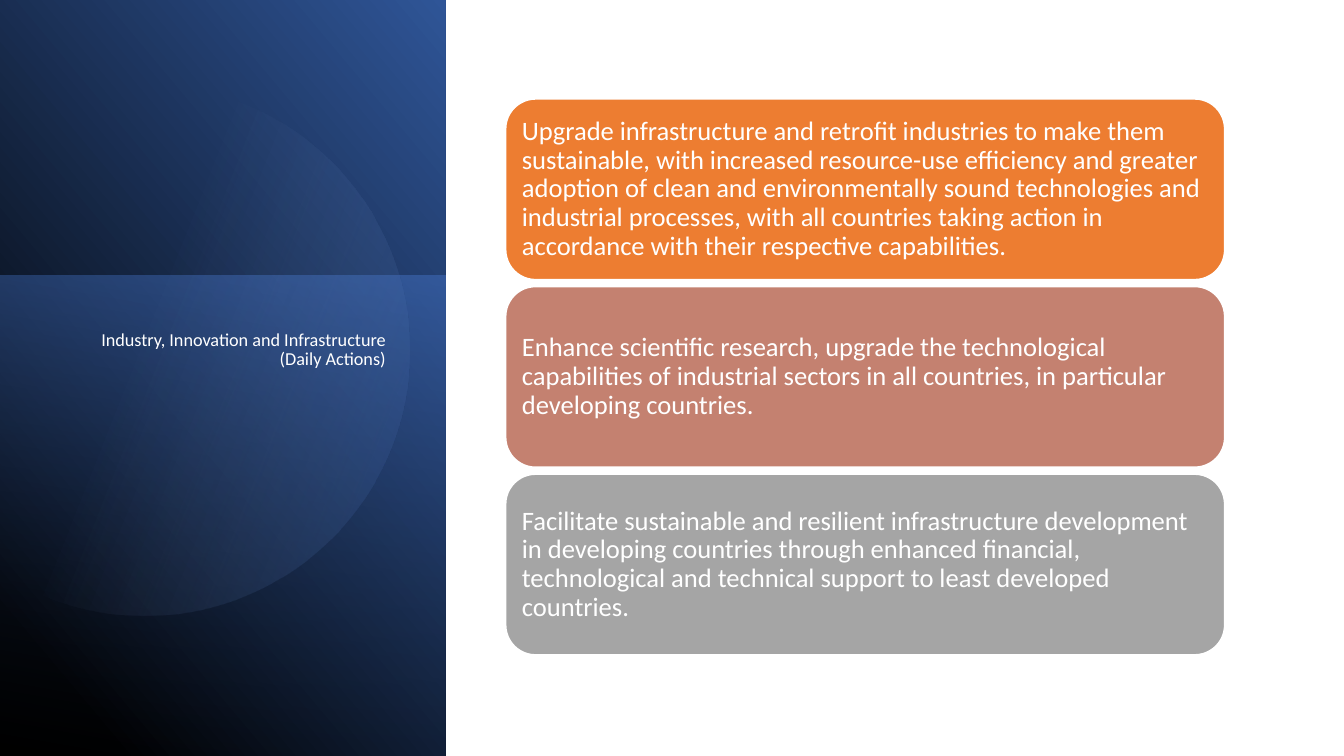
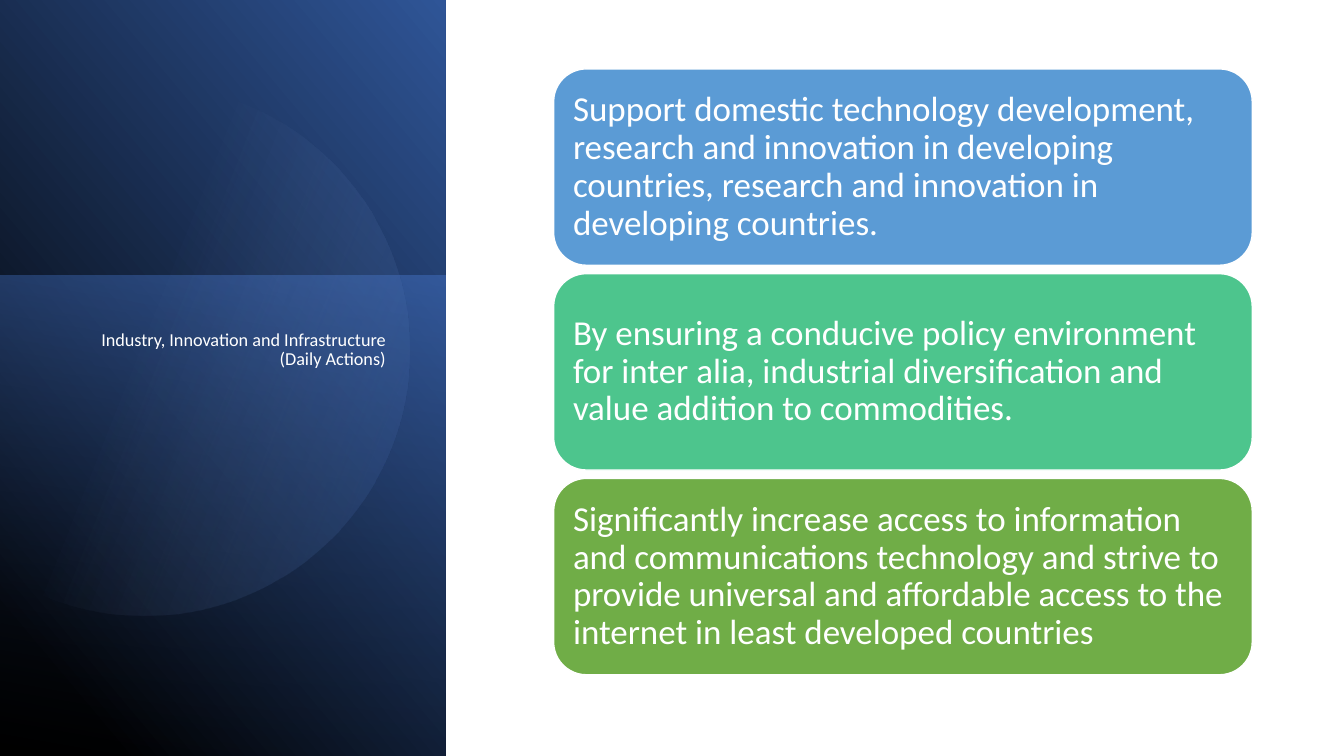
"""Build two slides of daily actions for industry and infrastructure."""
from dataclasses import dataclass
from math import acos, cos, degrees, radians, sin

from lxml import etree
from pptx import Presentation
from pptx.dml.color import RGBColor
from pptx.enum.shapes import MSO_SHAPE
from pptx.enum.text import MSO_ANCHOR, PP_ALIGN
from pptx.oxml.ns import qn
from pptx.shapes.autoshape import Shape
from pptx.slide import Slide
from pptx.text.text import TextFrame
from pptx.util import Pt

RECT = MSO_SHAPE.RECTANGLE
ROUND = MSO_SHAPE.ROUNDED_RECTANGLE
TOP, MIDDLE = MSO_ANCHOR.TOP, MSO_ANCHOR.MIDDLE
LEFT, RIGHT = PP_ALIGN.LEFT, PP_ALIGN.RIGHT

WHITE = RGBColor(0xFF, 0xFF, 0xFF)
BLACK = RGBColor(0x00, 0x00, 0x00)
NAVY = RGBColor(0x20, 0x38, 0x64)
BLUE = RGBColor(0x2F, 0x55, 0x97)
ROYAL = RGBColor(0x44, 0x72, 0xC4)
PALE = RGBColor(0x8F, 0xAA, 0xDC)
ORANGE = RGBColor(0xED, 0x7D, 0x31)
ROSE = RGBColor(0xC4, 0x81, 0x70)
GRAY = RGBColor(0xA5, 0xA5, 0xA5)
SKY = RGBColor(0x5B, 0x9B, 0xD5)
MINT = RGBColor(0x4D, 0xC5, 0x8D)
GREEN = RGBColor(0x70, 0xAD, 0x47)

FONT = "Calibri"
WIDE, HIGH = 960, 540
SIDE = 318.25
TITLE = "Industry, Innovation and Infrastructure\v(Daily Actions)"


@dataclass(frozen=True)
class Stop:
    """One colour stop, with place and opacity in percent."""
    place: int
    tint: RGBColor
    alpha: int = 100


@dataclass(frozen=True)
class Panel:
    """A turned side panel with its gradient."""
    top: float
    high: float
    turn: int
    flip: bool
    angle: float
    stops: tuple[Stop, Stop]


@dataclass(frozen=True)
class Disc:
    """A circle cut by the left slide edge."""
    x: float
    y: float
    size: float
    angle: float
    stops: tuple[Stop, Stop]


@dataclass(frozen=True)
class Card:
    """One action with its fill."""
    tint: RGBColor
    text: str


@dataclass(frozen=True)
class Stack:
    """A column of equal cards."""
    left: float
    top: float
    width: float
    high: float
    step: float
    edge: float
    inset: float
    size: float
    cards: tuple[Card, ...]


PANELS = (
    Panel(0, HIGH, 90, True, 310, (Stop(11, BLACK), Stop(100, BLUE))),
    Panel(197, 343, 270, False, 190, (Stop(0, ROYAL, 50), Stop(100, NAVY, 0))),
)
DISC = Disc(103, 250, 189.5, 21.6, (Stop(39, PALE, 0), Stop(100, BLUE, 26)))

STACKS = (
    Stack(361, 70.5, 514, 129.5, 134, 1.5, 5.5, 19, (
        Card(ORANGE, "Upgrade infrastructure and retrofit industries to make them "
             "sustainable, with increased resource-use efficiency and greater "
             "adoption of clean and environmentally sound technologies and "
             "industrial processes, with all countries taking action in "
             "accordance with their respective capabilities."),
        Card(ROSE, "Enhance scientific research, upgrade the technological "
             "capabilities of industrial sectors in all countries, in particular "
             "developing countries."),
        Card(GRAY, "Facilitate sustainable and resilient infrastructure development "
             "in developing countries through enhanced financial, technological "
             "and technical support to least developed countries."),
    )),
    Stack(395.5, 49.25, 499, 140.25, 146.25, 1, 7, 25, (
        Card(SKY, "Support domestic technology development, research and innovation "
             "in developing countries, research and innovation in developing "
             "countries."),
        Card(MINT, "By ensuring a conducive policy environment for inter alia, "
             "industrial diversification and value addition to commodities."),
        Card(GREEN, "Significantly increase access to information and communications "
             "technology and strive to provide universal and affordable access to "
             "the internet in least developed countries"),
    )),
)


def blend(shape: Shape, angle: float, stops: tuple[Stop, Stop]) -> None:
    """Fill a shape with a gradient, its angle clockwise."""
    shape.shadow.inherit = False
    shape.line.fill.background()
    shape.fill.gradient()
    shape.fill.gradient_angle = 360 - angle
    for mark, stop in zip(shape.fill.gradient_stops, stops):
        mark.position = stop.place / 100
        mark.color.rgb = stop.tint
    for node, stop in zip(shape._element.spPr.iter(qn("a:srgbClr")), stops):
        if stop.alpha < 100:
            etree.SubElement(node, qn("a:alpha"), val=str(stop.alpha * 1000))


def write(frame: TextFrame, text: str, size: float, align: PP_ALIGN,
          look: dict[str, object]) -> None:
    """Put white text in a frame with the given look."""
    frame.text = text
    line = frame.paragraphs[0]
    style = {"name": FONT, "size": Pt(size)}
    for item, values in (
        (frame, {"word_wrap": True, **look}),
        (line, {"alignment": align, "line_spacing": 0.9}),
        *((run.font, style) for run in line.runs),
    ):
        for name, value in values.items():
            setattr(item, name, value)
    for run in line.runs:
        run.font.color.rgb = WHITE


def add_panel(slide: Slide, panel: Panel) -> None:
    """Draw a panel turned about its centre."""
    shift = (SIDE - panel.high) / 2
    shape = slide.shapes.add_shape(
        RECT, Pt(shift), Pt(panel.top - shift), Pt(panel.high), Pt(SIDE))
    shape.rotation = panel.turn
    if panel.flip:
        shape._element.spPr.find(qn("a:xfrm")).set("flipH", "1")
    blend(shape, panel.angle, panel.stops)


def add_disc(slide: Slide, disc: Disc) -> None:
    """Draw the part of the circle that lies on the slide."""
    end = degrees(acos(-disc.x / disc.size))
    count = 120
    turns = [radians(end * (2 * i / count - 1)) for i in range(count + 1)]
    spots = [(Pt(disc.x + disc.size * cos(t)), Pt(disc.y + disc.size * sin(t)))
             for t in turns]
    path = slide.shapes.build_freeform(*spots[0])
    path.add_line_segments(spots[1:], close=True)
    blend(path.convert_to_shape(), disc.angle, disc.stops)


def add_title(slide: Slide) -> None:
    """Write the title on the side panel."""
    box = slide.shapes.add_textbox(Pt(42), Pt(232.5), Pt(240.5), Pt(278))
    write(box.text_frame, TITLE, 13, RIGHT, {"vertical_anchor": TOP})


def add_stack(slide: Slide, stack: Stack) -> None:
    """Draw the cards one below the other."""
    look = {f"margin_{side}": Pt(stack.inset)
            for side in ("left", "right", "top", "bottom")}
    look["vertical_anchor"] = MIDDLE
    for i, card in enumerate(stack.cards):
        shape = slide.shapes.add_shape(
            ROUND, Pt(stack.left), Pt(stack.top + i * stack.step),
            Pt(stack.width), Pt(stack.high))
        shape.shadow.inherit = False
        shape.fill.solid()
        shape.fill.fore_color.rgb = card.tint
        shape.line.color.rgb = WHITE
        shape.line.width = Pt(stack.edge)
        write(shape.text_frame, card.text, stack.size, LEFT, look)


def main() -> None:
    """Build and save the deck."""
    deck = Presentation()
    deck.slide_width, deck.slide_height = Pt(WIDE), Pt(HIGH)
    for stack in STACKS:
        slide = deck.slides.add_slide(deck.slide_layouts[6])
        for panel in PANELS:
            add_panel(slide, panel)
        add_disc(slide, DISC)
        add_title(slide)
        add_stack(slide, stack)
    deck.save("out.pptx")


if __name__ == "__main__":
    main()
